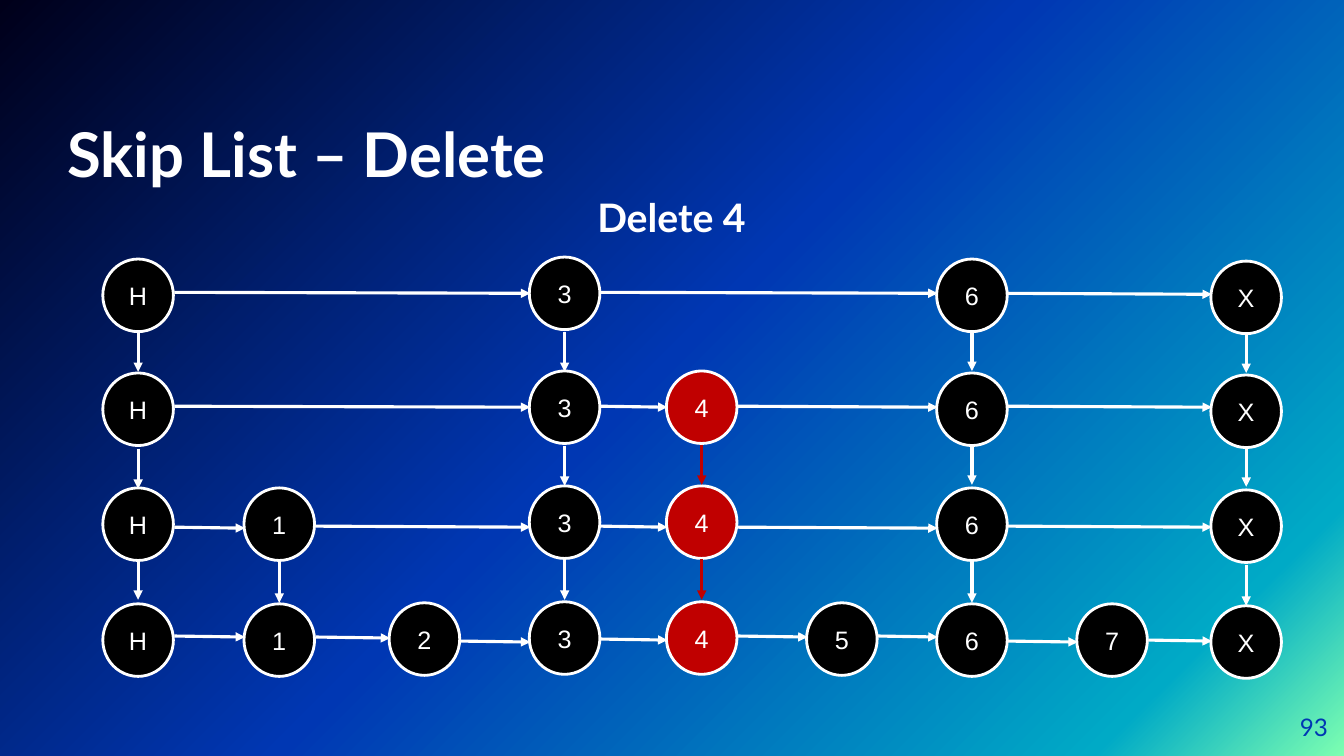
from dataclasses import dataclass

from lxml import etree
from pptx import Presentation
from pptx.dml.color import RGBColor
from pptx.enum.shapes import MSO_CONNECTOR, MSO_SHAPE
from pptx.enum.text import MSO_ANCHOR, MSO_AUTO_SIZE, PP_ALIGN
from pptx.oxml.ns import qn
from pptx.util import Inches, Pt

STRAIGHT = MSO_CONNECTOR.STRAIGHT
OVAL = MSO_SHAPE.OVAL
LEFT, CENTER, RIGHT = PP_ALIGN.LEFT, PP_ALIGN.CENTER, PP_ALIGN.RIGHT
TOP, MIDDLE, BOTTOM = MSO_ANCHOR.TOP, MSO_ANCHOR.MIDDLE, MSO_ANCHOR.BOTTOM
NO_AUTOFIT = MSO_AUTO_SIZE.NONE

WHITE, BLACK, RED, BLUE = "FFFFFF", "000000", "C00000", "0037B3"
GRADIENT = [(0, "7DFFB1"), (12, "00AAC6"), (51, BLUE), (100, "00001A")]
NODE_W, NODE_H = 0.7, 0.72
DROP = 0.4

LEVEL_TOPS = [2.57, 3.7, 4.84, 5.99]
LINK_YS = [
    [2.9, 2.9, 2.91],
    [4.03, 4.03, 4.03, 4.03],
    [5.23, 5.22, 5.22, 5.23, 5.22],
    [6.31, 6.32, 6.36, 6.34, 6.31, 6.31, 6.36, 6.35],
]


@dataclass
class Tower:
    label: str
    x: float
    shift: float
    drops: list
    fill: str = BLACK

    @property
    def first_level(self):
        return len(LEVEL_TOPS) - 1 - len(self.drops)


TOWERS = [
    Tower("H", 1.02, 0, [3.29, 4.45, 5.55]),
    Tower("1", 2.42, 0, [5.58]),
    Tower("2", 3.86, -0.01, []),
    Tower("3", 5.25, -0.02, [3.29, 4.42, 5.55]),
    Tower("4", 6.61, -0.02, [4.41, 5.55], RED),
    Tower("5", 8, -0.01, []),
    Tower("6", 9.29, 0, [3.28, 4.41, 5.58]),
    Tower("7", 10.68, 0, []),
    Tower("X", 12.01, 0.02, [3.3, 4.43, 5.61]),
]


def rgb(color):
    return RGBColor.from_string(color)


def write(sp, text, size, font, color, align, anchor, bold=False, inset=None):
    tf = sp.text_frame
    tf.word_wrap = True
    tf.auto_size = NO_AUTOFIT
    tf.vertical_anchor = anchor
    if inset is not None:
        tf.margin_left = tf.margin_right = Inches(inset)
        tf.margin_top = tf.margin_bottom = Inches(inset)
    p = tf.paragraphs[0]
    p.alignment = align
    r = p.add_run()
    r.text = text
    r.font.size = Pt(size)
    r.font.name = font
    r.font.bold = bold
    r.font.color.rgb = rgb(color)


def set_background(s):
    fill = s.background.fill
    fill.gradient()
    fill.gradient_angle = 135
    stops = next(s.element.iter(qn("a:gsLst")))
    for gs in list(stops):
        stops.remove(gs)
    for position, color in GRADIENT:
        gs = etree.SubElement(stops, qn("a:gs"), pos=str(position * 1000))
        etree.SubElement(gs, qn("a:srgbClr"), val=color)


def add_title(s, text):
    sp = s.shapes.title
    sp.left, sp.top = Inches(0.67), Inches(0.63)
    sp.width, sp.height = Inches(8.79), Inches(1.25)
    write(sp, text, 44, "Lato", WHITE, LEFT, BOTTOM, bold=True, inset=0)


def add_label(s, x, y, w, h, *style, **options):
    sp = s.shapes.add_textbox(Inches(x), Inches(y), Inches(w), Inches(h))
    write(sp, *style, **options)


def add_node(s, tower, level):
    y = LEVEL_TOPS[level] + tower.shift
    sp = s.shapes.add_shape(OVAL, Inches(tower.x), Inches(y),
                            Inches(NODE_W), Inches(NODE_H))
    sp.shadow.inherit = False
    sp.fill.solid()
    sp.fill.fore_color.rgb = rgb(tower.fill)
    sp.line.color.rgb = rgb(WHITE)
    sp.line.width = Pt(2)
    write(sp, tower.label, 18, "Arial", WHITE, CENTER, MIDDLE)


def add_arrow(s, x1, y1, x2, y2, color=WHITE):
    sp = s.shapes.add_connector(STRAIGHT, Inches(x1), Inches(y1),
                                Inches(x2), Inches(y2))
    sp.line.color.rgb = rgb(color)
    sp.line.width = Pt(2.25)
    etree.SubElement(sp.line._get_or_add_ln(), qn("a:tailEnd"), type="triangle")
    etree.SubElement(sp.element.spPr, qn("a:effectLst"))


def add_tower(s, tower):
    for level in range(tower.first_level, len(LEVEL_TOPS)):
        add_node(s, tower, level)
    center = tower.x + NODE_W / 2
    color = RED if tower.fill == RED else WHITE
    for y in tower.drops:
        add_arrow(s, center, y, center, y + DROP, color)


def add_level_links(s, level):
    row = [tower for tower in TOWERS if tower.first_level <= level]
    for start, end, y in zip(row, row[1:], LINK_YS[level]):
        add_arrow(s, start.x + NODE_W + 0.01, y, end.x + 0.01, y + 0.01)


def main():
    prs = Presentation()
    prs.slide_width, prs.slide_height = Inches(13.33), Inches(7.5)
    s = prs.slides.add_slide(prs.slide_layouts[5])
    set_background(s)
    add_title(s, "Skip List – Delete")
    add_label(s, 12.37, 6.93, 0.8, 0.57, "93", 17.3, "Lato", BLUE,
              RIGHT, MIDDLE, inset=0)
    for tower in TOWERS:
        add_tower(s, tower)
    for level in range(len(LEVEL_TOPS)):
        add_level_links(s, level)
    add_label(s, 4.96, 1.87, 3.4, 0.57, "Delete 4", 28, "Lato", WHITE,
              CENTER, TOP, bold=True)
    prs.save("out.pptx")


if __name__ == "__main__":
    main()
